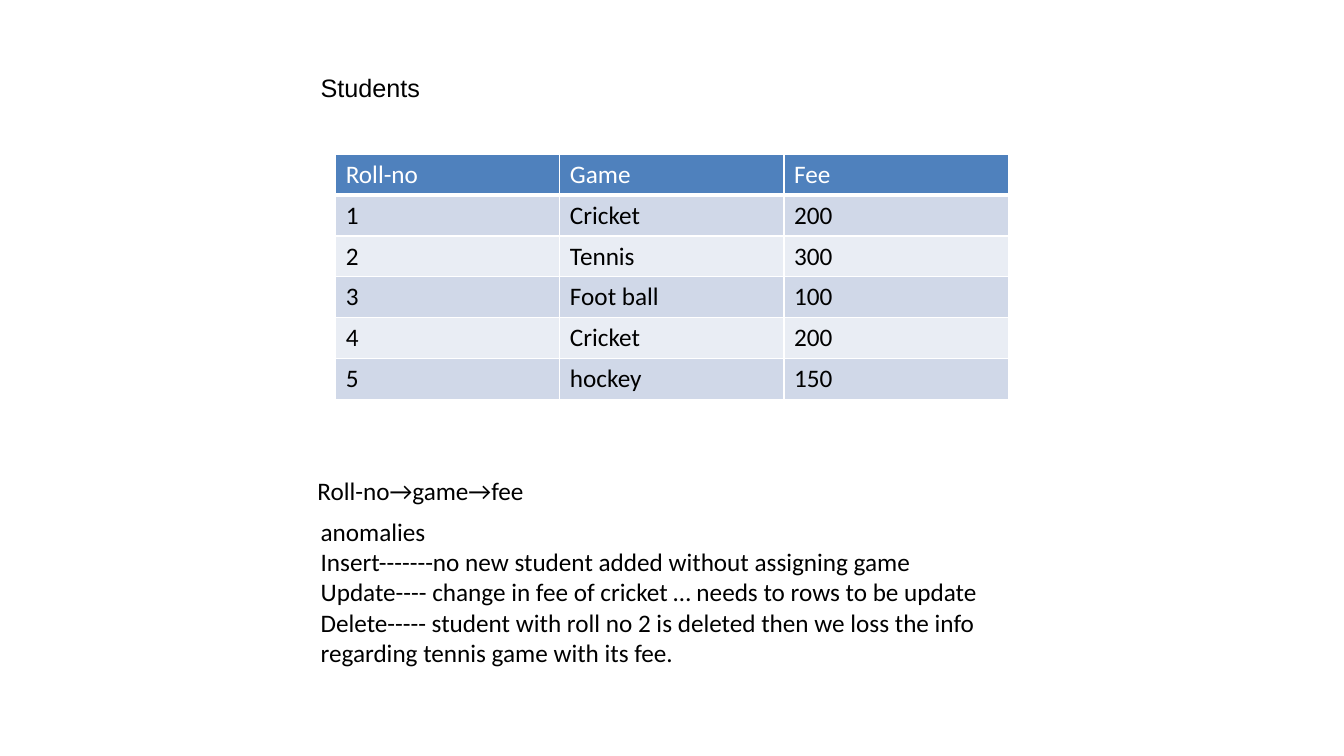
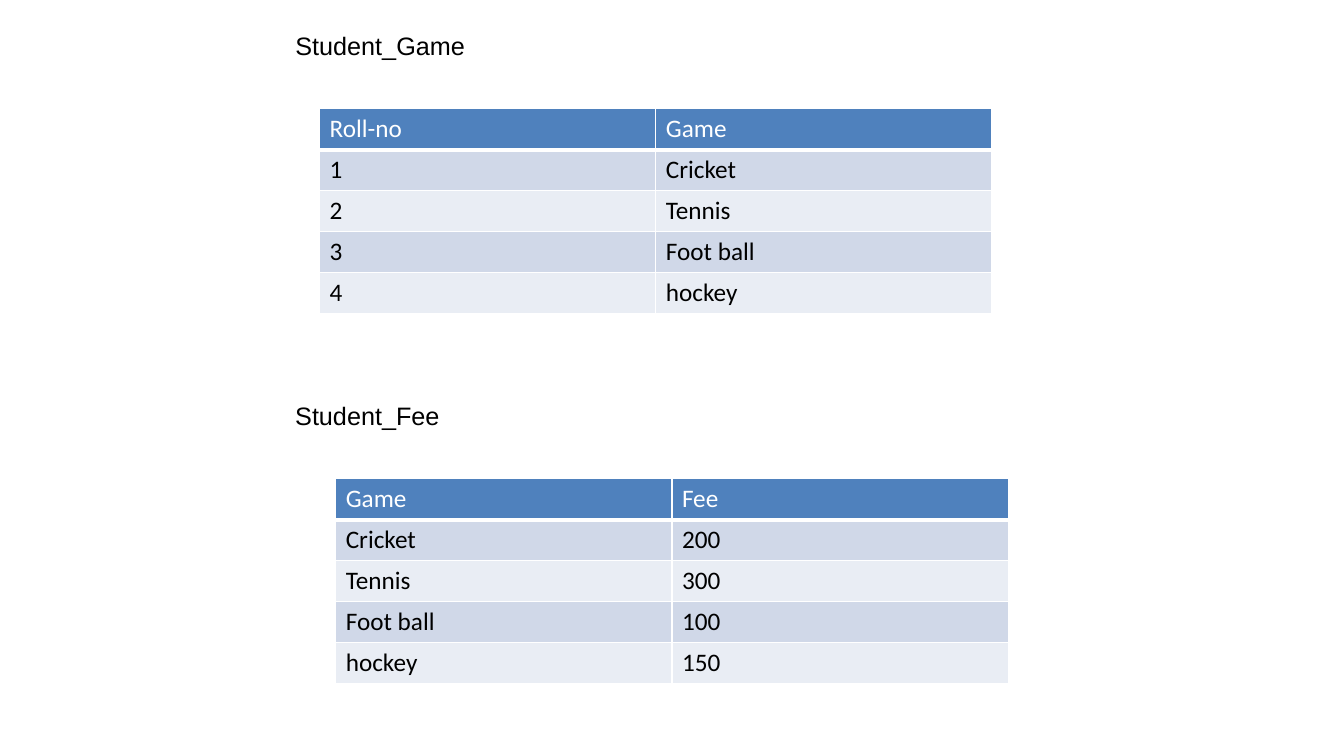
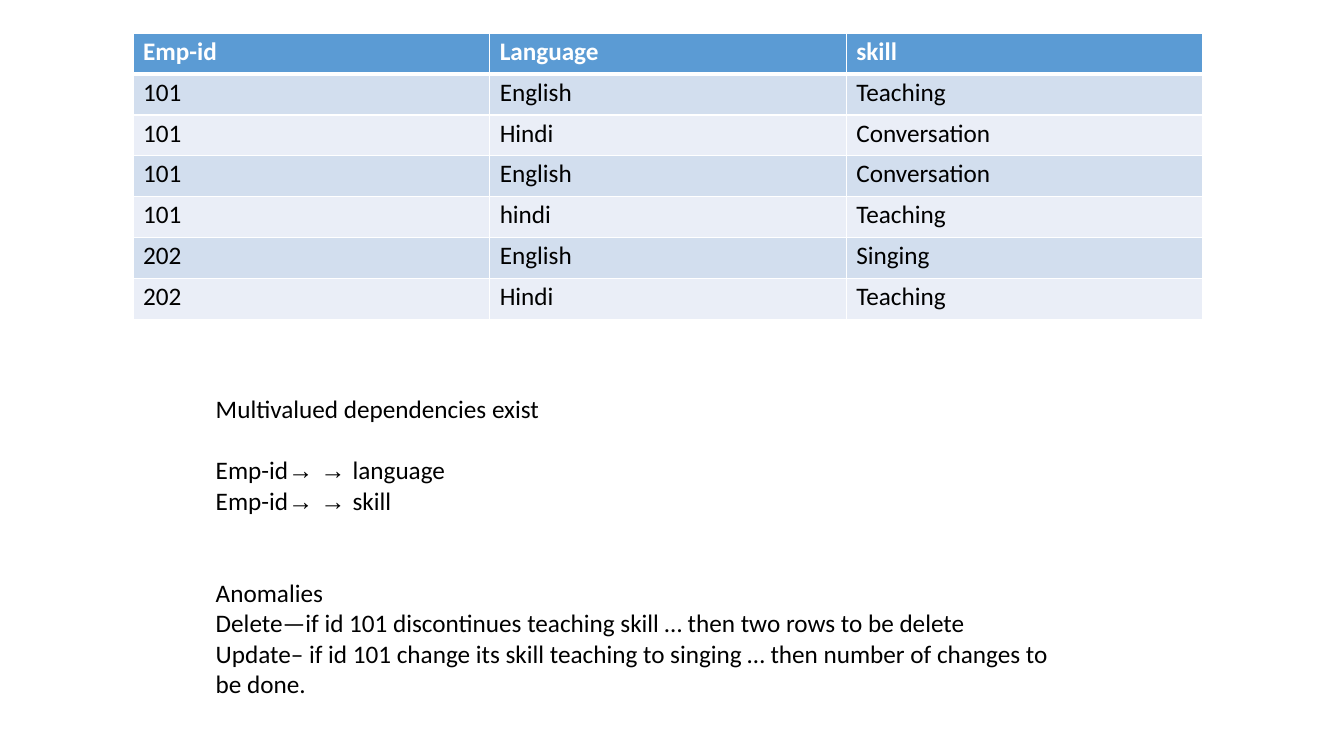
"""Build three slides on table anomalies and their decomposition."""
from lxml import etree
from pptx import Presentation
from pptx import util as u
from pptx.dml.color import RGBColor
from pptx.enum import text
from pptx.oxml.ns import qn

HUES = {"ink": "000000", "white": "FFFFFF"}
BLUE = {"head": "4F81BD", "odd": "D0D8E8", "even": "E9EDF4", "bold": False,
        "rule": 1, "pad": (0.1, 0.05, 0.1, 0.05)}
SKY = {"head": "5B9BD4", "odd": "D2DEEE", "even": "EAEEF7", "bold": True,
       "rule": 3, "pad": (0.1, 0.03, 0, 0)}
SIDES = ("left", "top", "right", "bottom")
SANS, HEAD = "Calibri", "Arial"


class Deck:
    """Hold the style and the current slide."""

    def __init__(self):
        """Start an empty wide deck."""
        self.prs = Presentation()
        self.prs.slide_width = u.Inches(13.33)
        self.prs.slide_height = u.Inches(7.5)
        self.slide = None

    def page(self):
        """Add a slide with title and body placeholders."""
        self.slide = self.prs.slides.add_slide(self.prs.slide_layouts[1])

    def style(self, run, face=SANS, hue=HUES["ink"], bold=False):
        """Format one run."""
        for key, value in {"name": face, "size": u.Pt(18), "bold": bold}.items():
            setattr(run.font, key, value)
        run.font.color.rgb = RGBColor.from_string(hue)

    def pad(self, item, sizes):
        """Set the inner margins of a frame or cell."""
        for side, size in zip(SIDES, sizes):
            setattr(item, f"margin_{side}", u.Inches(size))

    def fill(self, shape, box, lines, pad=BLUE["pad"]):
        """Place a shape and write lines of a gap and (words, face) runs."""
        for key, size in zip(("left", "top", "width", "height"), box):
            setattr(shape, key, u.Inches(size))
        frame = shape.text_frame
        looks = {"word_wrap": True, "auto_size": text.MSO_AUTO_SIZE.NONE,
                 "vertical_anchor": text.MSO_ANCHOR.TOP}
        for key, value in looks.items():
            setattr(frame, key, value)
        self.pad(frame, pad)
        for i, (gap, *runs) in enumerate(lines):
            para = frame.add_paragraph() if i else frame.paragraphs[0]
            para.alignment = text.PP_ALIGN.LEFT
            para.space_before = u.Pt(gap)
            props = para._p.get_or_add_pPr()
            for key in ("marL", "indent"):
                props.set(key, "0")
            etree.SubElement(props, qn("a:buNone"))
            for words, face in runs:
                run = para.add_run()
                run.text = words
                self.style(run, face)

    def title(self, words, box):
        """Write the slide title."""
        self.fill(self.slide.shapes.title, box, [(0, (words, HEAD))])

    def body(self, box, lines, **kind):
        """Write the body list."""
        self.fill(self.slide.placeholders[1], box, lines, **kind)

    def note(self, words, box, face=SANS):
        """Add a one-line text box."""
        shape = self.slide.shapes.add_textbox(0, 0, 0, 0)
        self.fill(shape, box, [(0, (words, face))])

    def edge(self, cell, widths):
        """Draw white borders around a cell."""
        props = cell._tc.get_or_add_tcPr()
        for i, (side, width) in enumerate(zip("LRTB", widths)):
            line = etree.Element(qn(f"a:ln{side}"), w=str(u.Pt(width)))
            paint = etree.SubElement(line, qn("a:solidFill"))
            etree.SubElement(paint, qn("a:srgbClr"), val=HUES["white"])
            props.insert(i, line)

    def table(self, box, rows, look=BLUE):
        """Add a banded table with a header row."""
        grid = self.slide.shapes.add_table(
            len(rows), len(rows[0]), *map(u.Inches, box)).table
        grid.first_row = grid.horz_banding = False
        for r, row in enumerate(rows):
            band = "head" if r == 0 else "odd" if r % 2 else "even"
            for c, words in enumerate(row):
                cell = grid.cell(r, c)
                self.pad(cell, look["pad"])
                cell.fill.solid()
                cell.fill.fore_color.rgb = RGBColor.from_string(look[band])
                self.edge(cell, (1, 1, look["rule"] if r == 1 else 1,
                                 1 if r else 3))
                run = cell.text_frame.paragraphs[0].add_run()
                run.text = words
                self.style(run, hue=HUES["ink" if r else "white"],
                           bold=look["bold"] and r == 0)

    def tidy(self):
        """Remove the empty placeholders of the slide."""
        for shape in list(self.slide.placeholders):
            if not shape.text_frame.text:
                shape._element.getparent().remove(shape._element)


def plain(*lines):
    """Turn strings into lines without gaps."""
    return [(0, (words, SANS)) for words in lines]


def main():
    """Build and save the deck."""
    deck = Deck()

    deck.page()
    deck.title("Students", (3.08, 0.67, 3, 0.4))
    deck.table((3.33, 1.53, 6.67, 2.43), [
        ("Roll-no", "Game", "Fee"),
        ("1", "Cricket", "200"),
        ("2", "Tennis", "300"),
        ("3", "Foot ball", "100"),
        ("4", "Cricket", "200"),
        ("5", "hockey", "150")])
    deck.note("Roll-no→game→fee", (3.05, 4.67, 4.87, 0.4))
    deck.body((3.08, 5.07, 7.33, 2.22), plain(
        "anomalies",
        "Insert-------no new student added without assigning game",
        "Update---- change in fee of cricket … needs to rows to be update",
        "Delete----- student with roll no 2 is deleted then we loss the info "
        "regarding tennis game with its fee."))
    deck.tidy()

    deck.page()
    deck.title("Student_Game", (2.83, 0.25, 2.92, 0.4))
    deck.table((3.17, 1.08, 6.67, 2.03), [
        ("Roll-no", "Game"),
        ("1", "Cricket"),
        ("2", "Tennis"),
        ("3", "Foot ball"),
        ("4", "hockey")])
    deck.note("Student_Fee", (2.83, 3.92, 3.33, 0.42), HEAD)
    deck.table((3.33, 4.75, 6.67, 2.03), [
        ("Game", "Fee"),
        ("Cricket", "200"),
        ("Tennis", "300"),
        ("Foot ball", "100"),
        ("hockey", "150")])
    deck.tidy()

    deck.page()
    deck.table((1.32, 0.33, 10.61, 2.84), [
        ("Emp-id", "Language", "skill"),
        ("101", "English", "Teaching"),
        ("101", "Hindi", "Conversation"),
        ("101", "English", "Conversation"),
        ("101", "hindi", "Teaching"),
        ("202", "English", "Singing"),
        ("202", "Hindi", "Teaching")], SKY)
    deps = [(gap, ("Emp-id", SANS), ("→ → ", HEAD), (goal, SANS))
            for gap, goal in ((22.3, "language"), (0, "skill"))]
    deck.body((2.13, 3.89, 8.31, 3.02), [
        *plain("Multivalued dependencies exist"),
        *deps,
        (44.5, ("Anomalies", SANS)),
        *plain(
            "Delete—if id 101 discontinues teaching skill … then two rows "
            "to be delete",
            "Update– if id 101 change its skill teaching to singing … then "
            "number of changes to be done.")], pad=(0.01, 0.01, 0, 0))
    deck.tidy()

    deck.prs.save("out.pptx")


if __name__ == "__main__":
    main()
